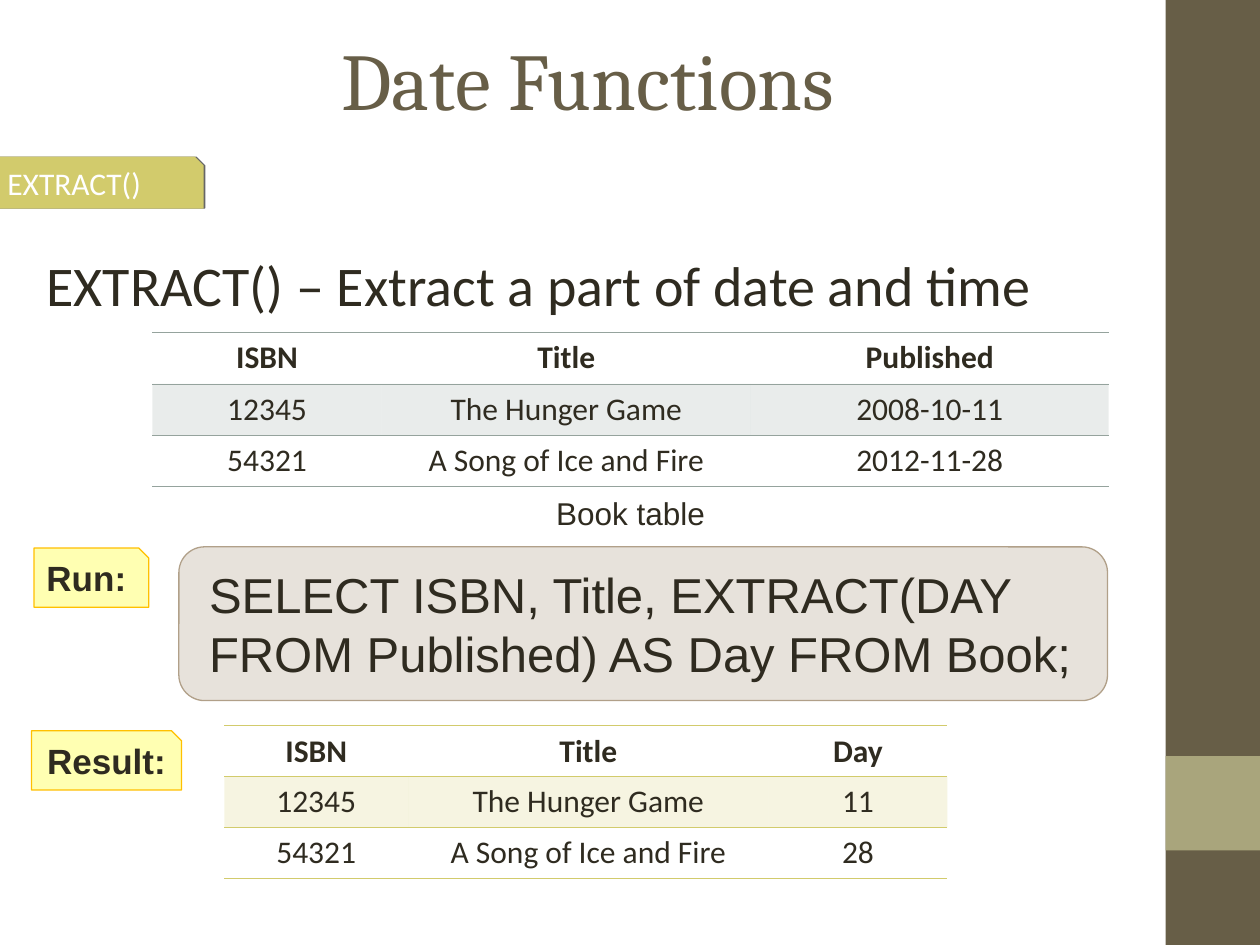
from lxml import etree
from pptx import Presentation
from pptx.dml.color import RGBColor
from pptx.enum.shapes import MSO_SHAPE
from pptx.enum.text import MSO_ANCHOR, PP_ALIGN
from pptx.oxml.ns import qn
from pptx.util import Inches, Pt

RECT, ROUND_RECT = MSO_SHAPE.RECTANGLE, MSO_SHAPE.ROUNDED_RECTANGLE
LEFT, CENTER = PP_ALIGN.LEFT, PP_ALIGN.CENTER
TOP, MIDDLE = MSO_ANCHOR.TOP, MSO_ANCHOR.MIDDLE

BROWN, SAGE, DARK, WHITE = "675E47", "A9A57C", "2F2B20", "FFFFFF"
OLIVE, GRAY, TAUPE = "D2CB6C", "95A39D", "B1A089"
YELLOW, ORANGE = "FFFF00", "FFC000"
PLAIN_TABLE = "{2D5ABB26-0587-4C30-8999-92F81FD0307C}"


def rgb(color):
    return RGBColor.from_string(color)


def set_fill(fill, element, color, alpha=100):
    """Solid fill; element is the XML parent that holds the fill."""
    fill.solid()
    fill.fore_color.rgb = rgb(color)
    if alpha < 100:
        clr = element.find(qn("a:solidFill")).find(qn("a:srgbClr"))
        etree.SubElement(clr, qn("a:alpha"), val=str(alpha * 1000))


def set_text(tf, text, size=18, font="Calibri", color=DARK, bold=False,
             align=LEFT, anchor=MIDDLE, wrap=True, left=0.1):
    tf.word_wrap = wrap
    tf.vertical_anchor = anchor
    tf.margin_left = Inches(left)
    p = tf.paragraphs[0]
    p.alignment = align
    r = p.add_run()
    r.text = text
    r.font.size, r.font.name, r.font.bold = Pt(size), font, bold
    r.font.color.rgb = rgb(color)


def style_shape(sp, fill, alpha=100, line=None, weight=0.75):
    sp.shadow.inherit = False
    set_fill(sp.fill, sp._element.spPr, fill, alpha)
    if line:
        sp.line.color.rgb = rgb(line)
        sp.line.width = Pt(weight)
    else:
        sp.line.fill.background()


def add_box(slide, kind, x, y, w, h, fill, **style):
    sp = slide.shapes.add_shape(kind, Inches(x), Inches(y), Inches(w), Inches(h))
    style_shape(sp, fill, **style)
    return sp


def add_label(slide, x, y, w, h, text, **fmt):
    sp = slide.shapes.add_textbox(Inches(x), Inches(y), Inches(w), Inches(h))
    set_text(sp.text_frame, text, **fmt)


def add_tab(slide, x, y, w, h, fill, **style):
    """Rectangle with its top right corner cut by a sixth of the height."""
    cut = h / 6
    corners = [(x + w - cut, y), (x + w, y + cut), (x + w, y + h), (x, y + h)]
    builder = slide.shapes.build_freeform(Inches(x), Inches(y), scale=1.0)
    builder.add_line_segments([(Inches(a), Inches(b)) for a, b in corners], close=True)
    sp = builder.convert_to_shape()
    style_shape(sp, fill, **style)
    return sp


def add_edge_shadow(sp):
    effects = sp._element.spPr.find(qn("a:effectLst"))
    shadow = etree.SubElement(effects, qn("a:outerShdw"), blurRad="0",
                              dist=str(Pt(1)), dir="0", rotWithShape="0")
    clr = etree.SubElement(shadow, qn("a:srgbClr"), val="000000")
    etree.SubElement(clr, qn("a:alpha"), val="60000")


def add_border(cell, side, color):
    ln = etree.Element(qn("a:" + side), w=str(Pt(0.45)))
    solid = etree.SubElement(ln, qn("a:solidFill"))
    etree.SubElement(solid, qn("a:srgbClr"), val=color)
    cell._tc.get_or_add_tcPr().insert(0, ln)


def add_data_table(slide, x, y, widths, height, rows, color):
    frame = slide.shapes.add_table(len(rows), len(widths), Inches(x), Inches(y),
                                   Inches(sum(widths)), Inches(height))
    table = frame.table
    table._tbl.tblPr.find(qn("a:tableStyleId")).text = PLAIN_TABLE
    for col, width in zip(table.columns, widths):
        col.width = Inches(width)
    for i, row in enumerate(rows):
        for j, value in enumerate(row):
            cell = table.cell(i, j)
            set_text(cell.text_frame, value, bold=i == 0, align=CENTER)
            # Band the first data row, rule off the header and the end
            if i == 1:
                set_fill(cell.fill, cell._tc.tcPr, color, 20)
            else:
                cell.fill.background()
            if i in (0, len(rows) - 1):
                add_border(cell, "lnB", color)
            if i < 2:
                add_border(cell, "lnT", color)


def main():
    prs = Presentation()
    prs.slide_width, prs.slide_height = Inches(10), Inches(7.5)
    slide = prs.slides.add_slide(prs.slide_layouts[6])

    # Side band
    add_box(slide, RECT, 9.25, 0, 0.75, 7.5, BROWN)
    add_box(slide, RECT, 9.25, 6, 0.75, 0.75, SAGE)

    # Title, section tab and heading
    add_label(slide, 0.5, 0, 8.33, 1.25, "Date Functions", size=46,
              font="Cambria", color=BROWN, align=CENTER)
    section = add_tab(slide, -0.04, 1.25, 1.65, 0.4, OLIVE, line=OLIVE, weight=1)
    add_edge_shadow(section)
    set_text(section.text_frame, "EXTRACT()", color=WHITE)
    add_label(slide, 0.27, 1.94, 9.47, 1.18,
              "EXTRACT() – Extract a part of date and time", size=32, anchor=TOP)

    # Query
    query = add_box(slide, ROUND_RECT, 1.42, 4.34, 7.37, 1.22, TAUPE,
                    alpha=30, line=TAUPE)
    set_text(query.text_frame,
             "SELECT ISBN, Title, EXTRACT(DAY FROM Published) AS Day FROM Book;",
             size=28, font="Arial", left=0.18)

    # Result and source tables
    books = [("12345", "The Hunger Game"), ("54321", "A Song of Ice and Fire")]
    tables = [
        (1.78, 5.76, (1.46, 2.86, 1.42), 1.21, OLIVE, ("Day", "11", "28")),
        (1.21, 2.64, (1.82, 2.93, 2.84), 1.22, GRAY,
         ("Published", "2008-10-11", "2012-11-28")),
    ]
    for x, y, widths, height, color, last in tables:
        rows = [(*row, value) for row, value in zip([("ISBN", "Title"), *books], last)]
        add_data_table(slide, x, y, widths, height, rows, color)
    add_label(slide, 3.9, 3.87, 2.21, 0.4, "Book table", font="Arial",
              align=CENTER, anchor=TOP)

    # Step tabs
    for x, y, w, text, align in [(0.25, 5.8, 1.19, "Result:", CENTER),
                                 (0.27, 4.35, 0.91, "Run:", LEFT)]:
        step = add_tab(slide, x, y, w, 0.47, YELLOW, alpha=30, line=ORANGE)
        set_text(step.text_frame, text, size=20, font="Arial", bold=True,
                 align=align, wrap=False)

    prs.save("out.pptx")


if __name__ == "__main__":
    main()
